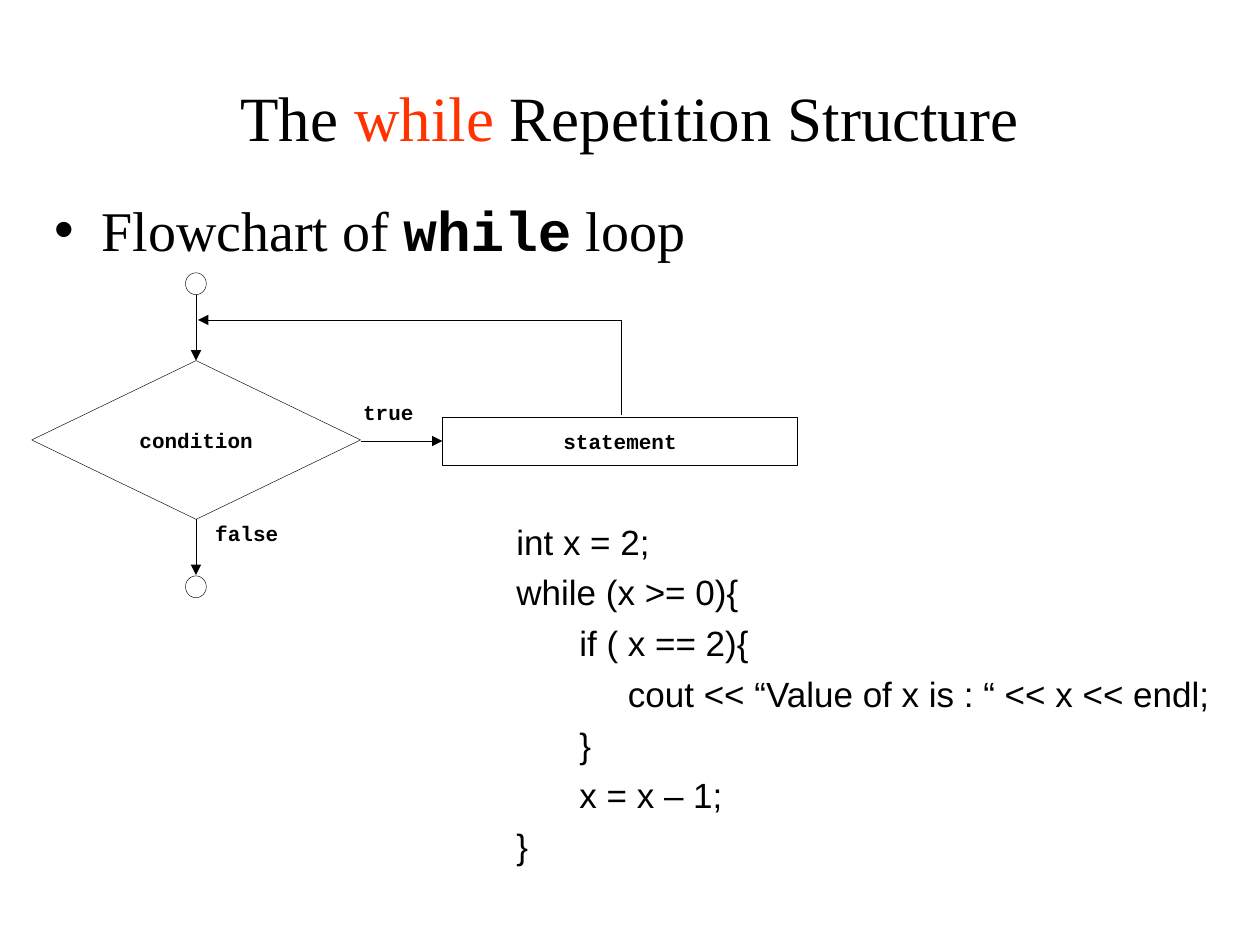
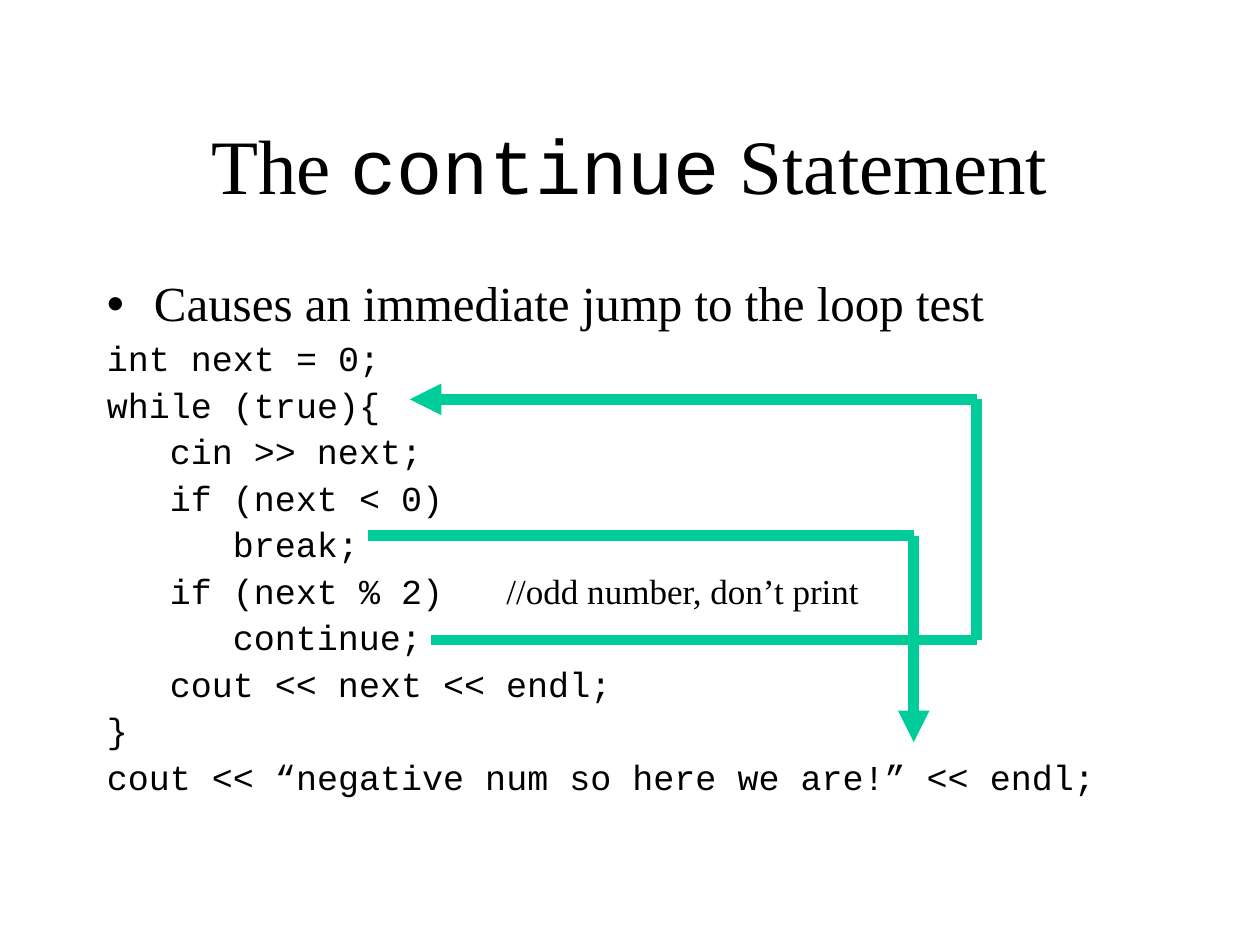
from itertools import pairwise

from lxml import etree
from pptx import Presentation
from pptx.dml.color import RGBColor
from pptx.enum import shapes, text
from pptx.oxml import ns
from pptx.util import Cm, Pt

BLACK = RGBColor(0x00, 0x00, 0x00)
WHITE = RGBColor(0xFF, 0xFF, 0xFF)
RED = RGBColor(0xFF, 0x33, 0x00)
GREEN = RGBColor(0x00, 0xCC, 0x99)

SERIF, MONO, SANS = "Times New Roman", "Courier New", "Arial"
HANGING = 0.95    # bullet indent, cm
CODE_STEP = 1.27  # indent of one code level, cm


def write(paragraph, content, *, font=SERIF, size=12, color=BLACK, bold=False, spacing=None):
    """Add one formatted run; spacing is extra letter spacing in points."""
    run = paragraph.add_run()
    run.text = content
    run.font.name, run.font.size, run.font.bold = font, Pt(size), bold
    run.font.color.rgb = color
    if spacing:
        run.font._element.set("spc", str(spacing * 100))


def add_xml(parent, tag, **attributes):
    return etree.SubElement(parent, ns.qn(tag), **attributes)


class Deck:
    """Holds the shared style and the slide being built."""

    def __init__(self):
        self.presentation = Presentation()
        self.presentation.slide_width = Cm(25.4)
        self.presentation.slide_height = Cm(19.05)
        self.slide = None

    def new_slide(self):
        layout = self.presentation.slide_layouts[1]
        self.slide = self.presentation.slides.add_slide(layout)
        background = self.slide.background.fill
        background.solid()
        background.fore_color.rgb = WHITE

    def place(self, holder, left, top, width, height):
        holder.left, holder.top = Cm(left), Cm(top)
        holder.width, holder.height = Cm(width), Cm(height)
        frame = holder.text_frame
        frame.word_wrap = True
        frame.auto_size = text.MSO_AUTO_SIZE.NONE
        return frame

    def title(self, parts, height, size):
        frame = self.place(self.slide.shapes.title, 1.9, 1.7, 21.59, height)
        frame.vertical_anchor = text.MSO_ANCHOR.MIDDLE
        heading = frame.paragraphs[0]
        heading.alignment = text.PP_ALIGN.CENTER
        for content, style in parts:
            write(heading, content, size=size, **style)

    def body(self, left, top):
        return self.place(self.slide.placeholders[1], left, top, 21.59, 11.43)

    def bullet(self, frame, parts, size, before, line_spacing=1.0):
        item = frame.paragraphs[0]
        item.space_before, item.line_spacing = Pt(before), line_spacing
        properties = item._p.get_or_add_pPr()
        properties.set("marL", str(Cm(HANGING)))
        properties.set("indent", str(-Cm(HANGING)))
        add_xml(properties, "a:buChar", char="•")
        for content, style in parts:
            write(item, content, size=size, **style)

    def code(self, frame, lines, font, line_spacing=1.0):
        """Each line is (level, text, extra runs...)."""
        for level, content, *extras in lines:
            unused = not frame.paragraphs[0].runs
            line = frame.paragraphs[0] if unused else frame.add_paragraph()
            line.level = int(level)
            line.space_before, line.line_spacing = Pt(5), line_spacing
            properties = line._p.get_or_add_pPr()
            properties.set("marL", str(Cm(level * CODE_STEP)))
            properties.set("indent", "0")
            add_xml(properties, "a:buNone")
            write(line, content, font=font, size=20)
            for extra, style in extras:
                write(line, extra, size=20, **style)

    def text_box(self, *box):
        return self.place(self.slide.shapes.add_textbox(0, 0, 0, 0), *box)

    def strip_margins(self, frame):
        frame.margin_left = frame.margin_right = 0
        frame.margin_top = frame.margin_bottom = 0

    def label(self, content, *box):
        frame = self.text_box(*box)
        self.strip_margins(frame)
        write(frame.paragraphs[0], content, font=MONO, bold=True)

    def node(self, kind, left, top, width, height, content=""):
        node = self.slide.shapes.add_shape(kind, Cm(left), Cm(top), Cm(width), Cm(height))
        node.shadow.inherit = False
        node.fill.solid()
        node.fill.fore_color.rgb = WHITE
        node.line.color.rgb = BLACK
        node.line.width = Pt(0.25)
        if content:
            frame = node.text_frame
            self.strip_margins(frame)
            frame.vertical_anchor = text.MSO_ANCHOR.MIDDLE
            frame.paragraphs[0].alignment = text.PP_ALIGN.CENTER
            write(frame.paragraphs[0], content, font=MONO, bold=True)

    def route(self, *points, color=BLACK, weight=0.25):
        """Join the points by lines, with an arrowhead at the last one."""
        for (x1, y1), (x2, y2) in pairwise(points):
            leg = self.slide.shapes.add_connector(
                shapes.MSO_CONNECTOR.STRAIGHT, Cm(x1), Cm(y1), Cm(x2), Cm(y2))
            leg.line.color.rgb = color
            leg.line.width = Pt(weight)
            add_xml(leg._element.spPr, "a:effectLst")
        add_xml(leg.line._get_or_add_ln(), "a:tailEnd", type="triangle")


def while_slide(deck):
    deck.new_slide()
    deck.title([("The ", {}), ("while", {"color": RED}), (" Repetition Structure", {})],
               height=1.27, size=36)
    deck.bullet(deck.body(0.84, 3.81),
                [("Flowchart of ", {}), ("while", {"font": MONO, "bold": True}), (" loop", {})],
                size=32, before=8)

    # Flowchart nodes
    kinds = shapes.MSO_SHAPE
    axis, middle, loop_x, loop_y = 3.95, 8.89, 12.53, 6.45
    deck.node(kinds.DIAMOND, 0.64, 7.27, 6.63, 3.2, "condition")
    deck.node(kinds.RECTANGLE, 8.92, 8.41, 7.16, 0.97, "statement")
    for terminal_top in (5.5, 11.61):
        deck.node(kinds.OVAL, axis - 0.21, terminal_top, 0.42, 0.44)

    # Flow
    deck.route((axis, 5.94), (axis, 7.27))
    deck.route((axis, 10.47), (axis, 11.59))
    deck.route((7.27, middle), (8.92, middle))
    deck.route((loop_x, 8.36), (loop_x, loop_y), (3.99, loop_y))
    deck.label("true", 7.32, 8.05, 1.47, 0.89)
    deck.label("false", 4.34, 10.49, 1.8, 0.89)

    # Example
    deck.code(deck.text_box(10.16, 10.36, 14.61, 7.82), [
        (0, "int x = 2;"),
        (0, "while (x >= 0){"),
        (1, "if ( x == 2){"),
        (1.77, "cout << “Value of x is : “ << x << endl;"),
        (1, "}"),
        (1, "x = x – 1;"),
        (0, "}"),
    ], SANS)


def continue_slide(deck):
    deck.new_slide()
    deck.title([("The ", {}), ("continue", {"font": MONO}), (" Statement", {})],
               height=3.18, size=44)
    listing = deck.body(1.9, 5.51)
    deck.bullet(listing, [("Causes an immediate jump to the loop test", {})],
                size=28, before=7, line_spacing=0.9)
    deck.code(listing, [
        (0, "int next = 0;"),
        (0, "while (true){"),
        (1, "cin >> next;"),
        (1, "if (next < 0)"),
        (2, "break;"),
        (1, "if (next % 2)", (" ", {"font": MONO, "spacing": 24}),
         ("//odd number, don’t print", {})),
        (2, "continue;"),
        (1, "cout << next << endl;"),
        (0, "}"),
        (0, "cout << “negative num so here we are!” << endl;"),
    ], MONO, line_spacing=0.9)

    # Jumps made by break and continue
    jump = {"color": GREEN, "weight": 6}
    deck.route((7.42, 10.8), (18.42, 10.8), (18.42, 14.96), **jump)
    deck.route((8.69, 12.9), (19.69, 12.9), (19.69, 8.05), (8.26, 8.05), **jump)


def main():
    deck = Deck()
    while_slide(deck)
    continue_slide(deck)
    deck.presentation.save("out.pptx")


if __name__ == "__main__":
    main()
